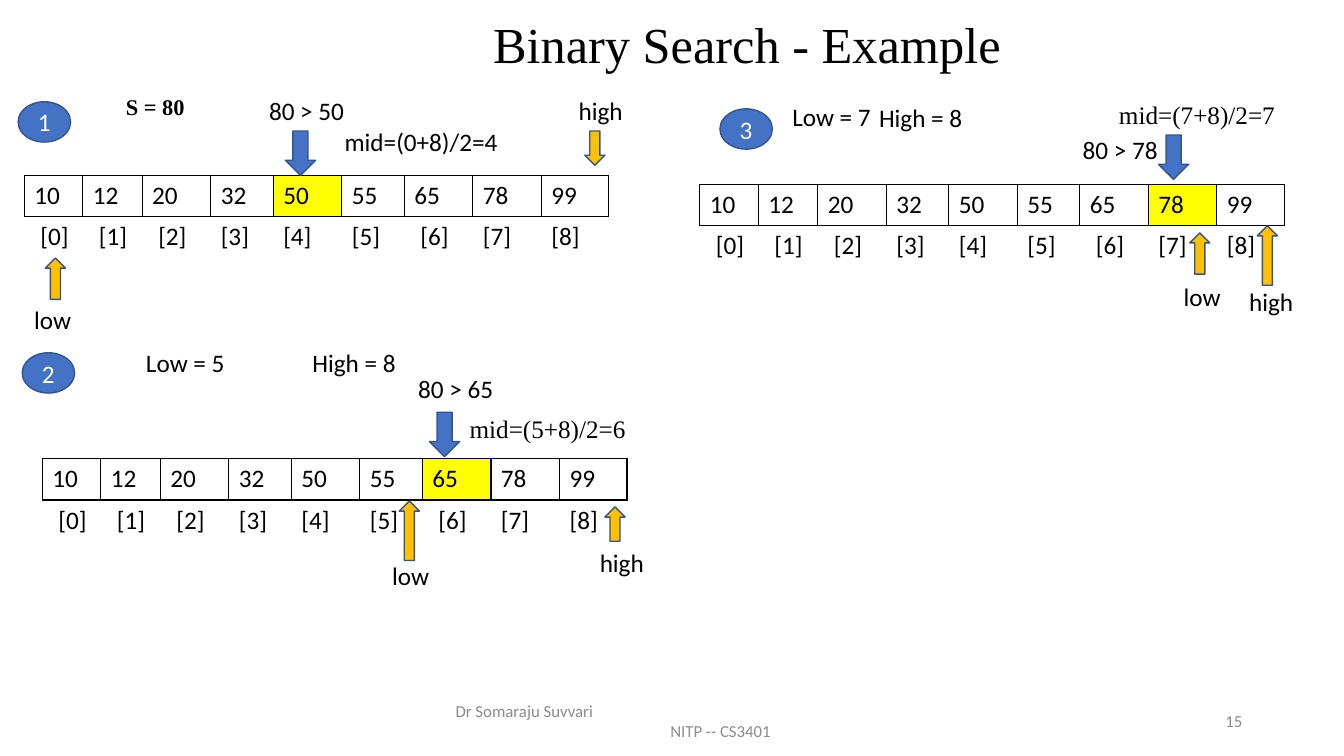
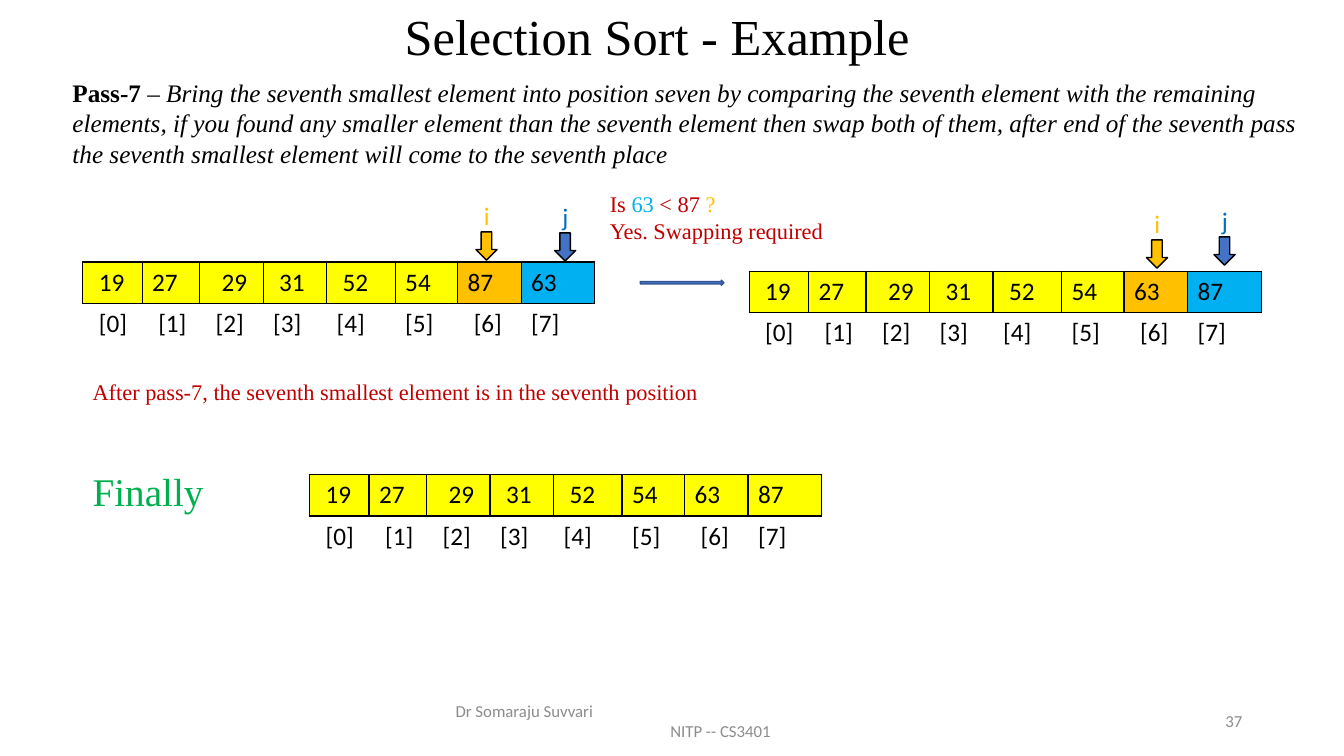
from dataclasses import dataclass
from itertools import accumulate

from lxml import etree
from pptx import Presentation
from pptx import util as u
from pptx.dml import color
from pptx.enum import shapes, text
from pptx.oxml import ns

PX = 9144  # EMU, 100 px to the inch


@dataclass(frozen=True)
class Theme:
    sans: str = "Calibri"
    serif: str = "Times New Roman"
    black: str = "000000"
    white: str = "FFFFFF"
    grey: str = "8C8C8C"
    blue: str = "4472C4"
    outline: str = "325491"
    amber: str = "FFC000"
    yellow: str = "FFFF00"
    sky: str = "00B0F0"
    pointer: str = "0070C0"
    red: str = "C00000"
    green: str = "00B050"
    title: int = 36
    heading: int = 28
    body: int = 18
    remark: int = 16
    footer: int = 12


T = Theme()
SHAPE = shapes.MSO_SHAPE
ALIGN = text.PP_ALIGN
MIDDLE = text.MSO_ANCHOR.MIDDLE

ROW_H = 41
CELL_PAD = 10
LEAD = 6  # width of one step of cell indent
INDEX_LEADS = [1, 1, 1, 0, 0, 0, 1, 0, 0]
SEARCH_COLS = [58, 59, 68, 62, 68, 62, 68, 68, 67]
SEARCH_VALUES = [10, 12, 20, 32, 50, 55, 65, 78, 99]
SORT_COLS = [59, 57, 63, 63, 68, 62, 63, 73]
SORT_LEADS = [1, 0, 2, 1, 1, 0, 0, 0]


def px(*lengths):
    return [u.Emu(n * PX) for n in lengths]


def rgb(value):
    return color.RGBColor.from_string(value)


def style(font, name=T.sans, size=T.body, ink=T.black):
    font.name = name
    font.size = u.Pt(size)
    font.color.rgb = rgb(ink)


def add_text(parent, box, content, align=ALIGN.LEFT, anchor=None, **look):
    """Place a text box; content is a string or a list of paragraph strings."""
    sp = parent.add_textbox(*px(*box))
    tf = sp.text_frame
    tf.word_wrap = True
    if anchor is not None:
        tf.vertical_anchor = anchor
    lines = [content] if isinstance(content, str) else content
    for i, line in enumerate(lines):
        p = tf.add_paragraph() if i else tf.paragraphs[0]
        p.text = line
        p.alignment = align
        style(p.font, **look)
    return tf


def add_runs(p, parts):
    """Append (text, font attributes) runs; 'ink' sets the colour."""
    for words, look in parts:
        r = p.add_run()
        r.text = words
        if "ink" in look:
            r.font.color.rgb = rgb(look["ink"])
        r.font.bold = look.get("bold")
        r.font.italic = look.get("italic")


def add_figure(parent, kind, box, fill, line=T.outline):
    sp = parent.add_shape(kind, *px(*box))
    sp.shadow.inherit = False
    sp.fill.solid()
    sp.fill.fore_color.rgb = rgb(fill)
    sp.line.color.rgb = rgb(line)
    sp.line.width = u.Pt(1)
    return sp


def add_title(parent, box, words):
    add_text(parent, box, words, ALIGN.CENTER, MIDDLE,
             name=T.serif, size=T.title)


def add_footer(parent, number):
    look = dict(anchor=MIDDLE, size=T.footer, ink=T.grey)
    tf = add_text(parent, (442, 695, 450, 40),
                  ["Dr Somaraju Suvvari", "NITP -- CS3401"], **look)
    indent, = px(213)
    tf.paragraphs[1]._p.get_or_add_pPr().set("marL", str(indent))
    add_text(parent, (942, 695, 300, 40), str(number), ALIGN.RIGHT, **look)


def set_borders(cell, drawn):
    """Draw the sides named in drawn (from L, R, T, B) and clear the others."""
    tcPr = cell._tc.get_or_add_tcPr()
    for side in "LRTB":
        ln = etree.SubElement(tcPr, ns.qn(f"a:ln{side}"), w=str(u.Pt(1)))
        if side in drawn:
            fill = etree.SubElement(ln, ns.qn("a:solidFill"))
            etree.SubElement(fill, ns.qn("a:srgbClr"), val=T.black)
        else:
            etree.SubElement(ln, ns.qn("a:noFill"))


def add_array(parent, x, y, cols, values, fills, leads):
    """Draw an array as a row of boxed values above a row of indices."""
    n = len(cols)
    box = px(x, y, sum(cols), 2 * ROW_H)
    table = parent.add_table(2, n, *box).table
    table.first_row = table.horz_banding = False
    for row in table.rows:
        row.height, = px(ROW_H)
    rows = [(values, leads, "LRTB"),
            ([f"[{i}]" for i in range(n)], INDEX_LEADS, "T")]
    for c, width in enumerate(cols):
        table.columns[c].width, = px(width)
        for r, (words, indents, sides) in enumerate(rows):
            cell = table.cell(r, c)
            cell.margin_left, = px(CELL_PAD + LEAD * indents[c])
            cell.margin_right = 0
            set_borders(cell, sides)
            if r == 0:
                cell.fill.solid()
                cell.fill.fore_color.rgb = rgb(fills[c])
            else:
                cell.fill.background()
            p = cell.text_frame.paragraphs[0]
            p.text = str(words[c])
            style(p.font)


def add_search_step(parent, x, y, number, mid, mid_arrow, badge,
                    notes, pointers):
    """Draw one search step; all offsets count from the array's corner."""
    fills = [T.yellow if i == mid else T.white
             for i in range(len(SEARCH_VALUES))]
    add_array(parent, x, y, SEARCH_COLS, SEARCH_VALUES, fills,
              [0] * len(SEARCH_VALUES))

    sp = add_figure(parent, SHAPE.OVAL,
                    (x + badge[0], y + badge[1], 52, 40), T.blue)
    sp.text_frame.vertical_anchor = MIDDLE
    p = sp.text_frame.paragraphs[0]
    p.text = str(number)
    p.alignment = ALIGN.CENTER
    style(p.font, ink=T.white)

    column_x = list(accumulate(SEARCH_COLS, initial=0))[mid]
    add_figure(parent, SHAPE.DOWN_ARROW,
               (x + column_x + mid_arrow[0], y + mid_arrow[1], 30, 44), T.blue)
    for words, dx, dy, font in notes:
        add_text(parent, (x + dx, y + dy, 183, 40), words, name=font)
    for words, label, kind, arrow, height in pointers:
        add_figure(parent, kind,
                   (x + arrow[0], y + arrow[1], 20, height), T.amber)
        add_text(parent, (x + label[0], y + label[1], 75, 40), words)


def add_search_slide(slide):
    sp = slide.shapes
    add_title(sp, (313, 7, 856, 71), "Binary Search - Example")
    up, down = SHAPE.UP_ARROW, SHAPE.DOWN_ARROW
    add_search_step(
        sp, 24, 174, 1, 4, (12, -44), (-6, -73),
        [("80 > 50", 233, -84, T.sans),
         ("mid=(0+8)/2=4", 308, -54, T.sans)],
        [("low", (0, 123), up, (21, 82), 41),
         ("high", (540, -84), down, (556, -44), 34)])
    add_search_step(
        sp, 42, 455, 2, 6, (7, -46), (-20, -105),
        [("Low = 5", 93, -115, T.sans), ("High = 8", 258, -115, T.sans),
         ("80 > 65", 363, -90, T.sans),
         ("mid=(5+8)/2=6", 414, -50, T.serif)],
        [("low", (337, 96), up, (354, 42), 59),
         ("high", (543, 83), up, (558, 48), 34)])
    add_search_step(
        sp, 694, 183, 3, 7, (10, -49), (20, -75),
        [("Low = 7", 82, -87, T.sans), ("High = 8", 168, -86, T.sans),
         ("80 > 78", 370, -55, T.sans),
         ("mid=(7+8)/2=7", 406, -89, T.serif)],
        [("low", (470, 91), up, (486, 48), 41),
         ("high", (535, 96), up, (553, 41), 59)])
    tf = add_text(sp, (115, 87, 96, 37), "S = 80",
                  name=T.serif, size=T.remark)
    tf.paragraphs[0].font.bold = True
    add_footer(sp, 15)


def add_pointer(parent, x, y, name, fill, ink):
    """Group a loop variable's name with the arrow below it."""
    group = parent.add_group_shape().shapes
    add_figure(group, SHAPE.DOWN_ARROW, (x + 2, y + 36, 21, 28), fill, T.black)
    add_text(group, (x, y, 31, 40), name, ink=ink)


def add_sort_array(parent, x, y, last, last_fills, pointers=()):
    values = [19, 27, 29, 31, 52, 54, *last]
    fills = [T.yellow] * 6 + last_fills
    add_array(parent, x, y, SORT_COLS, values, fills, SORT_LEADS)
    for name, dx, dy, fill, ink in pointers:
        add_pointer(parent, x + dx, y + dy, name, fill, ink)


def add_sort_slide(slide):
    sp = slide.shapes
    add_title(sp, (215, 10, 874, 50), "Selection Sort - Example")

    tf = add_text(sp, (62, 72, 1258, 101), "", name=T.serif)
    add_runs(tf.paragraphs[0], [
        ("Pass-7 ", {"bold": True}),
        ("– ", {}),
        ("Bring the seventh smallest element into position seven by comparing "
         "the seventh element with the remaining elements, if you found any "
         "smaller element than the seventh element then swap both of them, "
         "after end of the seventh pass the seventh smallest element will "
         "come to the seventh place", {"italic": True})])

    compared = [T.amber, T.sky]
    add_sort_array(sp, 82, 260, [87, 63], compared,
                   [("i", 388, -66, T.amber, T.amber),
                    ("j", 466, -65, T.blue, T.pointer)])
    add_sort_array(sp, 743, 269, [63, 87], compared,
                   [("i", 392, -67, T.amber, T.amber),
                    ("j", 459, -70, T.blue, T.pointer)])
    add_sort_array(sp, 307, 471, [63, 87], [T.yellow] * 2)

    remark = dict(name=T.serif, size=T.remark, ink=T.red)
    tf = add_text(sp, (595, 184, 313, 64), ["", "Yes. Swapping required"],
                  **remark)
    add_runs(tf.paragraphs[0], [("Is ", {}), ("63 ", {"ink": T.sky}),
                                ("< 87 ", {}), ("?", {"ink": T.amber})])
    add_figure(sp, SHAPE.RIGHT_ARROW, (635, 278, 83, 5), T.blue)
    add_text(sp, (82, 370, 761, 37),
             "After pass-7, the seventh smallest element is in the seventh "
             "position", **remark)
    add_text(sp, (82, 459, 133, 57), "Finally",
             name=T.serif, size=T.heading, ink=T.green)
    add_footer(sp, 37)


def main():
    prs = Presentation()
    prs.slide_width, prs.slide_height = px(1333, 750)
    blank = prs.slide_layouts[6]
    for build in (add_search_slide, add_sort_slide):
        build(prs.slides.add_slide(blank))
    prs.save("out.pptx")


if __name__ == "__main__":
    main()
